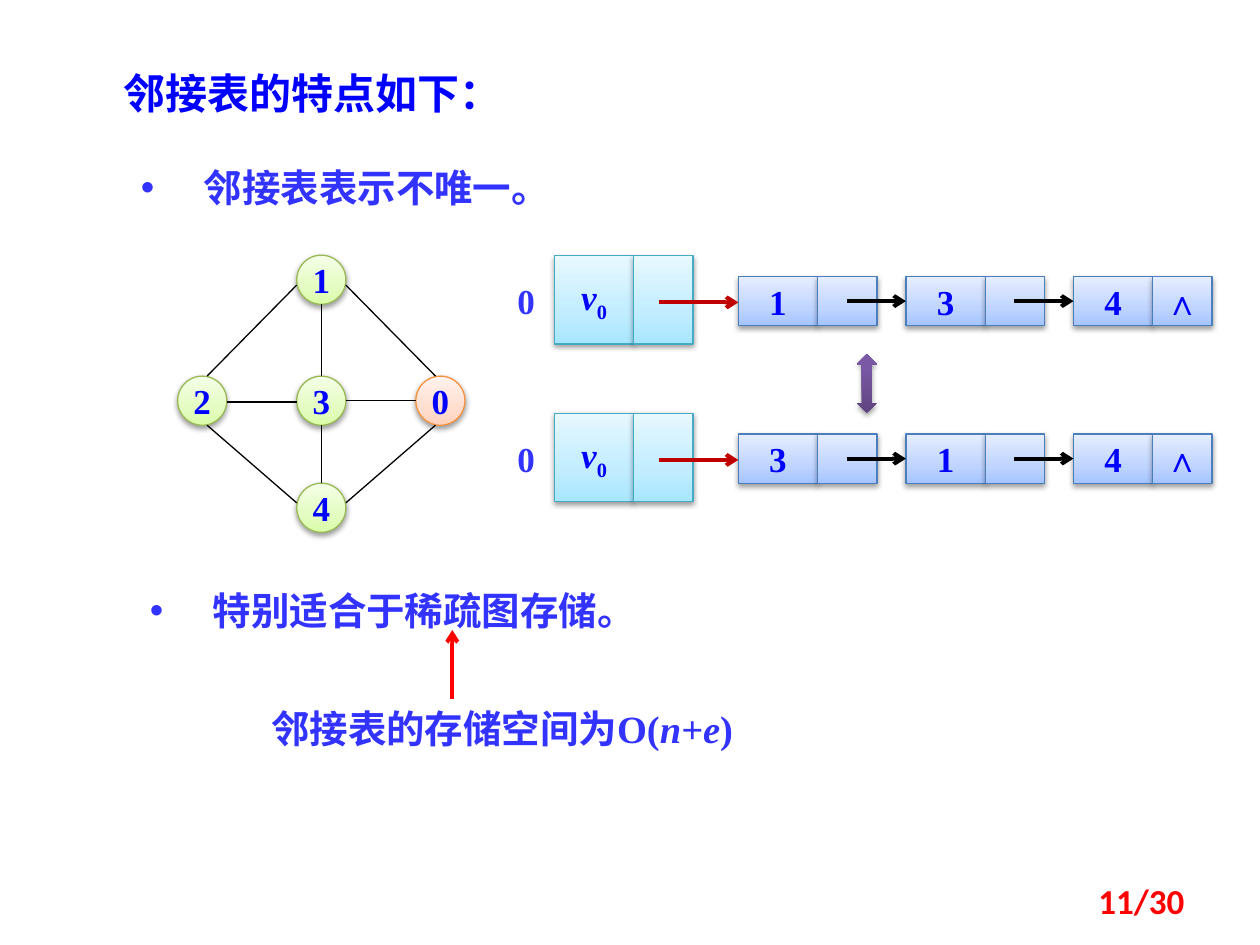
from copy import deepcopy
from lxml.etree import SubElement
from pptx import Presentation
from pptx.dml.color import RGBColor
from pptx.enum.shapes import MSO_CONNECTOR as CONN, MSO_SHAPE as SHAPE
from pptx.enum.text import MSO_ANCHOR as ANCHOR, MSO_AUTO_SIZE as AUTO, PP_ALIGN as ALIGN
from pptx.oxml.ns import qn
from pptx.util import Inches, Pt

BLUE = RGBColor(0x00, 0x00, 0xFF)
INDIGO = RGBColor(0x33, 0x33, 0xFF)
RED = RGBColor(0xFF, 0x00, 0x00)
DARK_RED = RGBColor(0xC0, 0x00, 0x00)
BLACK = RGBColor(0x00, 0x00, 0x00)


def style(line, *stops):
    return (line and RGBColor.from_string(line),
            [(pos, RGBColor.from_string(c)) for pos, c in stops])


GREEN_FILL = style("98B955", (0, "DAFDA7"), (.35, "E4FCC2"), (1, "F5FFE7"))
ORANGE_FILL = style("F69240", (0, "FFD2BD"), (.35, "FFDED0"), (1, "FFF2ED"))
BLUE_FILL = style("4B7EBC", (0, "A4C4FF"), (.35, "BFD4FF"), (1, "E6EEFF"))
CYAN_FILL = style("46AAC5", (0, "A7E6FF"), (.35, "C1EDFF"), (1, "E7F8FF"))
PURPLE_FILL = style(None, (0, "5F4480"), (.8, "7B58A6"), (1, "7C57A8"))

CJK, SERIF, SANS = "Noto Sans CJK SC", "Times New Roman", "Calibri"
TITLE = "邻接表的特点如下："
POINTS = [("邻接表表示不唯一。", 1.02, 1.25), ("特别适合于稀疏图存储。", 1.09, 4.61)]
COST = [("邻接表的存储空间为O(", {}), ("n+e", {"italic": True}), (")", {})]
HEAD = [("v", {"italic": True}), ("0", {"base": -25})]

COL, RADIUS = 0.945, 0.195
VERTICES = {"1": (2.55, 2.22), "3": (2.55, 3.18), "2": (2.55 - COL, 3.18),
            "0": (2.55 + COL, 3.18), "4": (2.55, 4.03)}
EDGES = [("1", (-1, .22), "2", (.2, -1)), ("1", (1, .22), "0", (-.2, -1)),
         ("2", (1, .05), "3", (-1, .05)), ("3", (1, 0), "0", (-1, 0)),
         ("1", (0, 1), "3", (0, -1)), ("2", (.2, 1), "4", (-1, -.2)),
         ("3", (0, 1), "4", (0, -1)), ("0", (-.2, 1), "4", (1, -.2))]

LISTS = [("134", 2.39), ("314", 3.64)]
HEAD_X, NODE_X, NODE_STEP = 4.4, 5.86, 1.33
DATA_W, LINK_W, NODE_H, HEAD_H = 0.63, 0.47, 0.39, 0.7

prs = Presentation()
prs.slide_width, prs.slide_height = Inches(10), Inches(7.5)
s = prs.slides.add_slide(prs.slide_layouts[6])


def box(x, y, w, h):
    return [Inches(v) for v in (x, y, w, h)]


def write(tf, runs, size, color, font=SERIF, align=ALIGN.CENTER):
    p = tf.paragraphs[0]
    p.alignment = align
    for text, opts in runs:
        r = p.add_run()
        r.text = text
        f = r.font
        f.size, f.name, f.bold = Pt(size), font, True
        f.italic = opts.get("italic", False)
        f.color.rgb = color
        rPr = r._r.get_or_add_rPr()
        SubElement(rPr, qn("a:ea")).set("typeface", CJK)
        if "base" in opts:
            rPr.set("baseline", str(opts["base"] * 1000))
    return p


def label(x, y, w, h, runs, size, color, inset=True, **kw):
    tf = s.shapes.add_textbox(*box(x, y, w, h)).text_frame
    tf.word_wrap = True
    tf.auto_size = AUTO.SHAPE_TO_FIT_TEXT
    if not inset:
        tf.margin_left = tf.margin_right = tf.margin_top = tf.margin_bottom = 0
    return tf, write(tf, runs, size, color, **kw)


def space_before(p, percent):
    spc = SubElement(p._p.get_or_add_pPr(), qn("a:spcBef"))
    SubElement(spc, qn("a:spcPct")).set("val", str(percent * 1000))


def solid(kind, x, y, w, h, look, runs=()):
    line, stops = look
    sp = s.shapes.add_shape(kind, *box(x, y, w, h))
    sp.fill.gradient()
    sp.fill.gradient_angle = 90
    gs_list = sp._element.spPr.find(".//" + qn("a:gsLst"))
    gs_list.append(deepcopy(gs_list[0]))
    for stop, (pos, color) in zip(sp.fill.gradient_stops, stops):
        stop.position = pos
        stop.color.rgb = color
    if line:
        sp.line.color.rgb = line
        sp.line.width = Pt(.75)
    else:
        sp.line.fill.background()
    sp.shadow.inherit = False
    effects = sp._element.spPr.find(qn("a:effectLst"))
    shadow = SubElement(effects, qn("a:outerShdw"), blurRad="40000", dist="20000",
                        dir="5400000", rotWithShape="0")
    color = SubElement(shadow, qn("a:srgbClr"), val="000000")
    SubElement(color, qn("a:alpha"), val="38000")
    tf = sp.text_frame
    tf.word_wrap = False
    tf.vertical_anchor = ANCHOR.MIDDLE
    if runs:
        write(tf, runs, 20, BLUE)


def line(x1, y1, x2, y2, color=BLACK, width=.75, arrow=False):
    c = s.shapes.add_connector(CONN.STRAIGHT, *box(x1, y1, x2, y2))
    c.line.color.rgb = color
    c.line.width = Pt(width)
    if arrow:
        SubElement(c.line._get_or_add_ln(), qn("a:tailEnd"), type="arrow")
    SubElement(c._element.spPr, qn("a:effectLst"))


def cell_pair(x, mid, h, look, data, link=()):
    solid(SHAPE.RECTANGLE, x, mid - h / 2, DATA_W, h, look, data)
    solid(SHAPE.RECTANGLE, x + DATA_W, mid - h / 2, LINK_W, h, look, link)


_, p = label(.88, .49, 4.74, .5, [(TITLE, {})], 24, BLUE, font=CJK, align=ALIGN.JUSTIFY)
space_before(p, 50)
for text, x, y in POINTS:
    _, p = label(x, y, 5.08, .47, [(text, {})], 22, INDIGO, font=CJK, align=ALIGN.JUSTIFY)
    space_before(p, 50)
    pPr = p._p.get_or_add_pPr()
    pPr.set("marL", str(Inches(.5)))
    pPr.set("indent", str(-Inches(.5)))
    SubElement(pPr, qn("a:buFont")).set("typeface", "Arial")
    SubElement(pPr, qn("a:buChar")).set("char", "•")

for name, (cx, cy) in VERTICES.items():
    solid(SHAPE.OVAL, cx - RADIUS, cy - RADIUS, 2 * RADIUS, 2 * RADIUS,
          ORANGE_FILL if name == "0" else GREEN_FILL, [(name, {})])
for a, (ax, ay), b, (bx, by) in EDGES:
    (x1, y1), (x2, y2) = VERTICES[a], VERTICES[b]
    line(x1 + ax * RADIUS, y1 + ay * RADIUS, x2 + bx * RADIUS, y2 + by * RADIUS)

for chain, mid in LISTS:
    label(3.98, mid - .17, .39, .34, [("0", {})], 20, INDIGO, inset=False)
    cell_pair(HEAD_X, mid - .01, HEAD_H, CYAN_FILL, HEAD)
    for i, name in enumerate(chain):
        last = i == len(chain) - 1
        cell_pair(NODE_X + i * NODE_STEP, mid, NODE_H, BLUE_FILL, [(name, {})],
                  [("∧", {})] if last else ())
    line(NODE_X - DATA_W, mid + .01, NODE_X, mid + .01, DARK_RED, 2.25, True)
    for i in range(1, len(chain)):
        x = NODE_X + i * NODE_STEP
        line(x - LINK_W, mid, x, mid, BLACK, 2.25, True)
solid(SHAPE.UP_DOWN_ARROW, 6.8, 2.81, .16, .47, PURPLE_FILL)

line(3.59, 5.55, 3.59, 5, RED, 2.25, True)
label(1.72, 5.55, 4.53, .47, COST, 22, INDIGO)
tf, _ = label(7.17, 6.95, 2.33, .4, [("11/30", {})], 20, RED, font=SANS, align=ALIGN.RIGHT)
tf.auto_size = AUTO.NONE
tf.vertical_anchor = ANCHOR.MIDDLE

prs.save("out.pptx")
